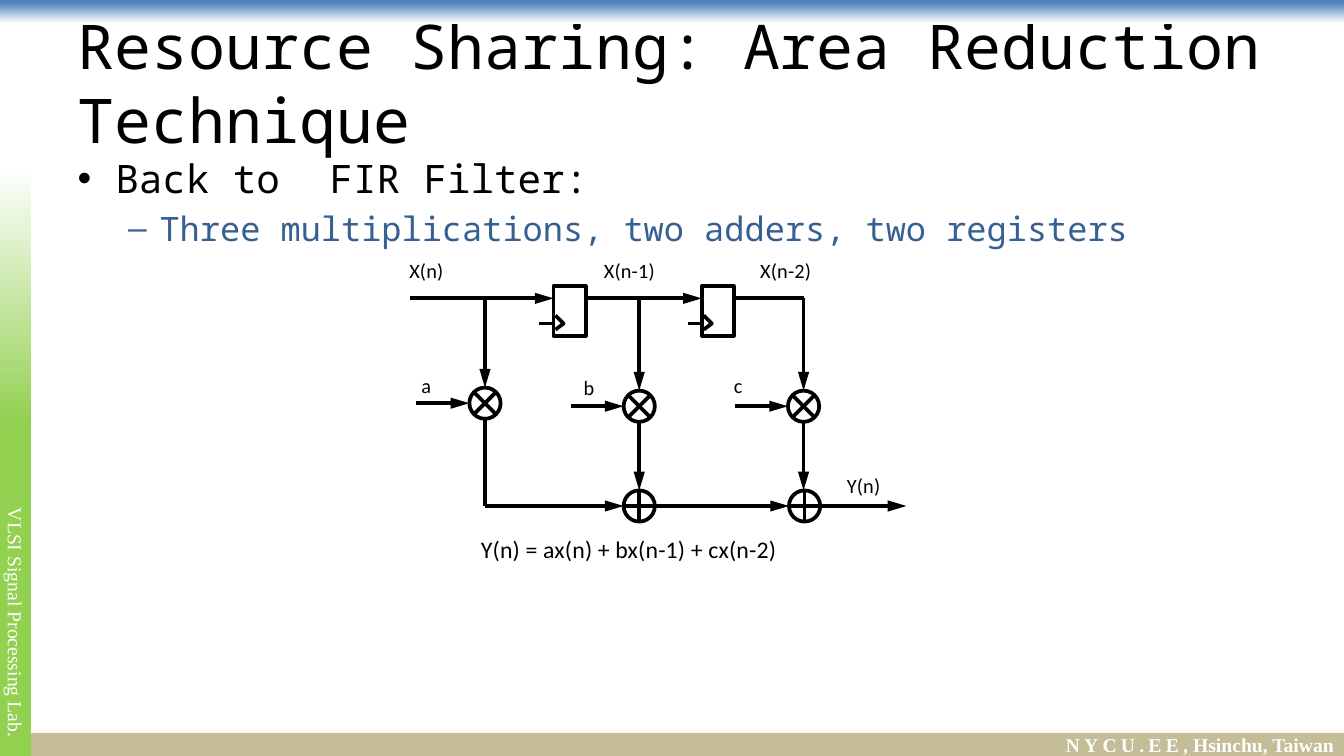
from lxml import etree
from pptx import Presentation
from pptx.dml.color import RGBColor
from pptx.enum.shapes import MSO_CONNECTOR, MSO_SHAPE
from pptx.enum.text import MSO_ANCHOR, MSO_AUTO_SIZE, PP_ALIGN
from pptx.oxml.ns import qn
from pptx.util import Inches, Pt

RECTANGLE = MSO_SHAPE.RECTANGLE
MULTIPLIER = MSO_SHAPE.FLOWCHART_SUMMING_JUNCTION
ADDER = MSO_SHAPE.FLOWCHART_OR
STRAIGHT = MSO_CONNECTOR.STRAIGHT
MIDDLE = MSO_ANCHOR.MIDDLE
NO_FIT = MSO_AUTO_SIZE.NONE
LEFT, CENTER, RIGHT = PP_ALIGN.LEFT, PP_ALIGN.CENTER, PP_ALIGN.RIGHT

WIDTH, HEIGHT = 13.33, 7.5
MONO, SANS, SERIF = "Noto Sans Mono", "Calibri", "Times New Roman"
BLACK, WHITE = "000000", "FFFFFF"
LINE = 2.67

TITLE = "Resource Sharing: Area Reduction Technique"
# text, level, size, colour
BULLETS = [
    ("Back to\tFIR Filter:", 0, 28, BLACK),
    ("Three multiplications, two adders, two registers", 1, 24, "376092"),
]
LAB = "VLSI Signal Processing Lab."
SCHOOL, PLACE = "NYCU.EE", ", Hsinchu, Taiwan"

# Diagram rows and sizes
RAIL, SUM_ROW = 2.96, 5.02
RADIUS = 0.155
REG_W, REG_H, REG_TOP = 0.32, 0.49, 2.84
COEFF_WIRE = 0.68
# tap column, multiplier row
TAPS = [(4.81, 4.0), (6.34, 4.03), (7.97, 4.03)]
ADDERS = [6.34, 7.98]
REGISTERS = [5.49, 6.96]
INPUT_X, OUTPUT_X = 4.07, 8.99

# text, left, top, width, size
LABELS = [
    ("X(n)", 4.05, 2.54, 0.5, 14.5),
    ("X(n-1)", 5.98, 2.54, 0.7, 14.5),
    ("X(n-2)", 7.53, 2.54, 0.7, 14.5),
    ("a", 4.17, 3.68, 0.2, 14.5),
    ("b", 5.78, 3.7, 0.2, 14.5),
    ("c", 7.27, 3.68, 0.2, 14.5),
    ("Y(n)", 8.39, 4.67, 0.5, 14.5),
    ("Y(n) = ax(n) + bx(n-1) + cx(n-2)", 4.76, 5.28, 3.4, 17),
]


def rgb(value):
    return RGBColor.from_string(value)


def box(*lengths):
    return [Inches(length) for length in lengths]


def style(run, size, font, color, spacing=0, bold=False):
    run.font.size, run.font.name, run.font.bold = Pt(size), font, bold
    run.font.color.rgb = rgb(color)
    if spacing:
        run.font._element.set("spc", str(round(spacing * 100)))


def set_margins(frame, left=0, top=0, right=0, bottom=0):
    frame.margin_left, frame.margin_top = Inches(left), Inches(top)
    frame.margin_right, frame.margin_bottom = Inches(right), Inches(bottom)


def add_bar(slide, bounds, fill, angle=None, solid_until=0):
    """Plain bar, or one fading to white when an angle is given."""
    bar = slide.shapes.add_shape(RECTANGLE, *box(*bounds))
    bar.shadow.inherit = False
    bar.line.fill.background()
    if angle is None:
        bar.fill.solid()
        bar.fill.fore_color.rgb = rgb(fill)
    else:
        bar.fill.gradient()
        bar.fill.gradient_angle = angle
        stops = ((solid_until, fill), (1, WHITE))
        for stop, (position, color) in zip(bar.fill.gradient_stops, stops):
            stop.position, stop.color.rgb = position, rgb(color)
    bar.text_frame.vertical_anchor = MIDDLE
    return bar


def outline(shape, fill=None):
    shape.shadow.inherit = False
    shape.line.color.rgb, shape.line.width = rgb(BLACK), Pt(LINE)
    if fill:
        shape.fill.solid()
        shape.fill.fore_color.rgb = rgb(fill)
    else:
        shape.fill.background()


def add_wire(slide, x1, y1, x2, y2, arrow=True):
    wire = slide.shapes.add_connector(STRAIGHT, *box(x1, y1, x2, y2))
    wire.line.color.rgb, wire.line.width = rgb(BLACK), Pt(LINE)
    properties = wire.element.spPr
    if arrow:
        etree.SubElement(properties.find(qn("a:ln")), qn("a:tailEnd"),
                         type="triangle", w="med", len="lg")
    etree.SubElement(properties, qn("a:effectLst"))


def add_operator(slide, kind, x, y):
    outline(slide.shapes.add_shape(
        kind, *box(x - RADIUS, y - RADIUS, 2 * RADIUS, 2 * RADIUS)), WHITE)


def add_register(slide, left):
    outline(slide.shapes.add_shape(
        RECTANGLE, *box(left, REG_TOP, REG_W, REG_H)), WHITE)
    clock = REG_TOP + 0.37
    notch = slide.shapes.build_freeform(*box(left + 0.02, clock - 0.08), scale=1.0)
    notch.add_line_segments([box(left + 0.1, clock), box(left + 0.02, clock + 0.06)],
                            close=False)
    outline(notch.convert_to_shape())
    add_wire(slide, left - 0.14, clock, left, clock, arrow=False)


def add_frame(slide):
    add_bar(slide, (0, 0, WIDTH, 0.23), "4F81BD", 270, 0.12)

    footer = add_bar(slide, (0, HEIGHT - 0.23, WIDTH, 0.23), "C4BD97").text_frame
    set_margins(footer, right=0.1)
    line = footer.paragraphs[0]
    line.alignment = RIGHT
    for text, spacing in ((SCHOOL, 3), (PLACE, 0)):
        run = line.add_run()
        run.text = text
        style(run, 14, SERIF, WHITE, spacing, bold=True)

    side = add_bar(slide, (0, 1.64, 0.31, HEIGHT - 1.64), "92D050", 90, 0.56)
    side.element.txBody.bodyPr.set("vert", "vert")
    set_margins(side.text_frame, 0.1, 3.31, 0.1, 0.05)
    side.text_frame.text = LAB
    side.text_frame.paragraphs[0].alignment = CENTER
    style(side.text_frame.paragraphs[0].runs[0], 14, SERIF, WHITE)


def add_text(slide):
    title, body = slide.placeholders
    for holder, top, height in ((title, 0.3, 1.03), (body, 1.48, 5.47)):
        holder.left, holder.top, holder.width, holder.height = box(0.67, top, 12, height)
        holder.text_frame.auto_size = NO_FIT
    title.text_frame.text = TITLE
    title.text_frame.vertical_anchor = MIDDLE
    title.text_frame.paragraphs[0].alignment = LEFT
    style(title.text_frame.paragraphs[0].runs[0], 44, MONO, BLACK)

    body.text_frame.text = "\n".join(bullet[0] for bullet in BULLETS)
    for item, (_, level, size, color) in zip(body.text_frame.paragraphs, BULLETS):
        item.level = level
        style(item.runs[0], size, MONO, color)


def add_filter(slide):
    first, second = REGISTERS
    add_wire(slide, INPUT_X, RAIL, first, RAIL)
    add_wire(slide, first + REG_W, RAIL, second, RAIL)
    add_wire(slide, second + REG_W, RAIL, TAPS[-1][0], RAIL, arrow=False)
    for left in REGISTERS:
        add_register(slide, left)

    for index, (x, y) in enumerate(TAPS):
        add_wire(slide, x, RAIL, x, y - RADIUS)
        add_wire(slide, x - COEFF_WIRE, y, x - RADIUS, y)
        end = SUM_ROW - RADIUS if index else SUM_ROW
        add_wire(slide, x, y + RADIUS, x, end, arrow=index > 0)
        add_operator(slide, MULTIPLIER, x, y)

    starts = [TAPS[0][0]] + [x + RADIUS for x in ADDERS]
    ends = [x - RADIUS for x in ADDERS] + [OUTPUT_X]
    for start, end in zip(starts, ends):
        add_wire(slide, start, SUM_ROW, end, SUM_ROW)
    for x in ADDERS:
        add_operator(slide, ADDER, x, SUM_ROW)

    for text, left, top, width, size in LABELS:
        label = slide.shapes.add_textbox(*box(left, top, width, 0.26)).text_frame
        label.word_wrap = True
        set_margins(label, left=0.01, top=0.02)
        label.text = text
        style(label.paragraphs[0].runs[0], size, SANS, BLACK, 0.1)


def main():
    deck = Presentation()
    deck.slide_width, deck.slide_height = box(WIDTH, HEIGHT)
    slide = deck.slides.add_slide(deck.slide_layouts[1])
    add_frame(slide)
    add_text(slide)
    add_filter(slide)
    deck.save("out.pptx")


if __name__ == "__main__":
    main()
